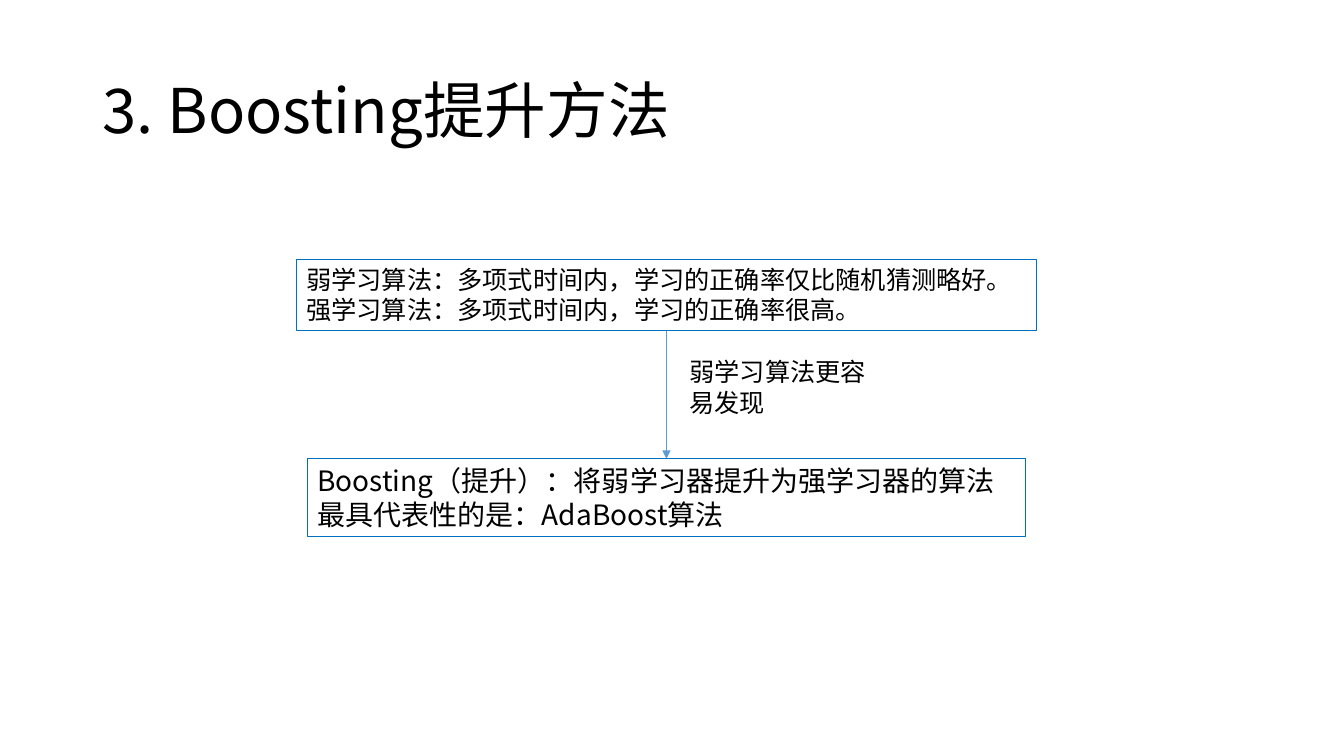
from dataclasses import dataclass
from typing import Optional

from lxml.etree import SubElement
from pptx import Presentation
from pptx.dml.color import RGBColor
from pptx.enum.shapes import MSO_CONNECTOR, MSO_SHAPE
from pptx.enum.text import MSO_ANCHOR, PP_ALIGN
from pptx.oxml.ns import qn
from pptx.slide import Slide
from pptx.util import Emu, Pt

PX = 9144  # 100 px to the inch
FONT = "Noto Sans CJK SC"
BLACK = RGBColor(0x00, 0x00, 0x00)
FRAME_BLUE = RGBColor(0x00, 0x70, 0xC0)
ARROW_BLUE = RGBColor(0x5B, 0x9B, 0xD5)


@dataclass(frozen=True)
class TextBlock:
    left: int
    top: int
    width: int
    height: int
    size: int
    lines: tuple[str, ...]
    frame: Optional[RGBColor] = None
    anchor: MSO_ANCHOR = MSO_ANCHOR.TOP
    line_spacing: Optional[float] = None


@dataclass(frozen=True)
class Arrow:
    x: int
    top: int
    bottom: int


TITLE = TextBlock(92, 40, 1150, 145, 44, ("3. Boosting提升方法",),
                  anchor=MSO_ANCHOR.MIDDLE, line_spacing=0.9)
LEARNERS = TextBlock(294, 257, 734, 71, 18, (
    "弱学习算法：多项式时间内，学习的正确率仅比随机猜测略好。",
    "强学习算法：多项式时间内，学习的正确率很高。",
), frame=FRAME_BLUE)
BOOSTING = TextBlock(305, 455, 712, 77, 20, (
    "Boosting（提升）：将弱学习器提升为强学习器的算法",
    "最具代表性的是：AdaBoost算法",
), frame=FRAME_BLUE)
REASON = TextBlock(674, 349, 201, 71, 18, ("弱学习算法更容易发现",))
STEP = Arrow(LEARNERS.left + LEARNERS.width // 2,
             LEARNERS.top + LEARNERS.height, BOOSTING.top)


def px(length: int) -> Emu:
    return Emu(length * PX)


def draw_text_block(slide: Slide, block: TextBlock) -> None:
    box = (px(block.left), px(block.top), px(block.width), px(block.height))
    if block.frame is None:
        shape = slide.shapes.add_textbox(*box)
    else:
        shape = slide.shapes.add_shape(MSO_SHAPE.RECTANGLE, *box)
        shape.shadow.inherit = False
        shape.fill.background()
        shape.line.color.rgb = block.frame
        shape.line.width = Pt(0.75)

    text_frame = shape.text_frame
    text_frame.word_wrap = True
    text_frame.vertical_anchor = block.anchor
    for index, line in enumerate(block.lines):
        paragraph = text_frame.add_paragraph() if index else text_frame.paragraphs[0]
        paragraph.alignment = PP_ALIGN.LEFT
        paragraph.line_spacing = block.line_spacing
        run = paragraph.add_run()
        run.text = line
        run.font.size = Pt(block.size)
        run.font.color.rgb = BLACK
        run.font.name = FONT
        # East Asian text takes its own typeface
        SubElement(run.font._element, qn("a:ea"), typeface=FONT)


def draw_arrow(slide: Slide, arrow: Arrow) -> None:
    connector = slide.shapes.add_connector(
        MSO_CONNECTOR.STRAIGHT,
        px(arrow.x), px(arrow.top), px(arrow.x), px(arrow.bottom))
    connector.line.color.rgb = ARROW_BLUE
    connector.line.width = Pt(0.5)
    SubElement(connector.line._get_or_add_ln(), qn("a:tailEnd"), type="triangle")
    SubElement(connector._element.spPr, qn("a:effectLst"))


def main() -> None:
    presentation = Presentation()
    presentation.slide_width = px(1333)
    presentation.slide_height = px(750)
    slide = presentation.slides.add_slide(presentation.slide_layouts[6])

    # Title
    draw_text_block(slide, TITLE)

    # Learners lead down to boosting
    draw_text_block(slide, LEARNERS)
    draw_arrow(slide, STEP)
    draw_text_block(slide, BOOSTING)

    # Note beside the arrow
    draw_text_block(slide, REASON)

    presentation.save("out.pptx")


if __name__ == "__main__":
    main()
